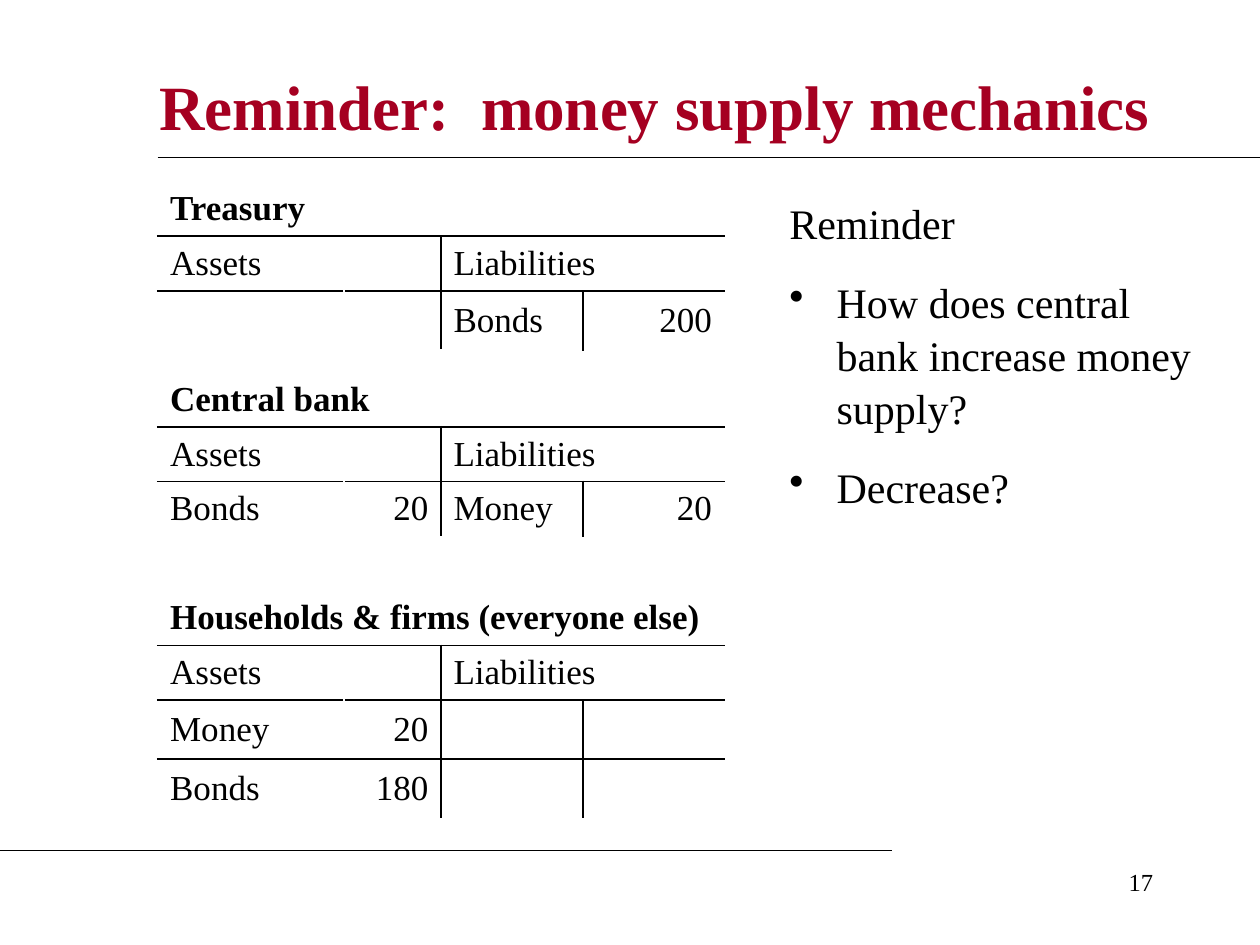
from lxml.etree import SubElement
from pptx import Presentation
from pptx.dml.color import RGBColor
from pptx.enum.shapes import MSO_CONNECTOR
from pptx.enum.text import MSO_ANCHOR, PP_ALIGN
from pptx.oxml.ns import qn
from pptx.util import Pt

FONT = "Times New Roman"
BLACK = "000000"
RED = "A50021"
COLUMN_WIDTHS = [106.5, 55.5, 81, 81]
HEADER_HEIGHT = 31.3
TABLE_LEFT = 90


def set_color(color_format, color):
    color_format.rgb = RGBColor.from_string(color)


def format_paragraph(paragraph, size, color=BLACK, bold=False, align=PP_ALIGN.LEFT):
    paragraph.alignment = align
    for run in paragraph.runs:
        run.font.name = FONT
        run.font.size = Pt(size)
        run.font.bold = bold
        set_color(run.font.color, color)


def add_text_box(slide, left, top, width, height, anchor=MSO_ANCHOR.TOP):
    shape = slide.shapes.add_textbox(Pt(left), Pt(top), Pt(width), Pt(height))
    text_frame = shape.text_frame
    text_frame.word_wrap = True
    text_frame.vertical_anchor = anchor
    return text_frame


def add_rule(slide, left, right, top):
    connector = slide.shapes.add_connector(
        MSO_CONNECTOR.STRAIGHT, Pt(left), Pt(top), Pt(right), Pt(top))
    connector.line.width = Pt(0.75)
    set_color(connector.line.color, BLACK)
    SubElement(connector._element.spPr, qn("a:effectLst"))


def add_border(cell, side):
    properties = cell._tc.get_or_add_tcPr()
    line = SubElement(properties, qn(f"a:ln{side}"), w=str(Pt(1.08)))
    fill = SubElement(line, qn("a:solidFill"))
    SubElement(fill, qn("a:srgbClr"), val=BLACK)


def format_cell(cell, row, column):
    span = cell.span_width if cell.is_merge_origin else 1
    sides = {
        "L": row > 0 and column == 2,
        "R": row > 0 and column + span == 2,
        "T": row in (1, 2),
        "B": row in (0, 1),
    }
    for side, visible in sides.items():
        if visible:
            add_border(cell, side)
    cell.fill.background()
    cell.vertical_anchor = MSO_ANCHOR.MIDDLE


def add_balance_sheet(slide, top, name, entries, entry_height):
    rows = [[name, "", "", ""], ["Assets", "", "Liabilities", ""]] + entries
    heights = [HEADER_HEIGHT] * 2 + [entry_height] * len(entries)
    frame = slide.shapes.add_table(
        len(rows), len(COLUMN_WIDTHS), Pt(TABLE_LEFT), Pt(top),
        Pt(sum(COLUMN_WIDTHS)), Pt(sum(heights)))
    table = frame.table
    table.first_row = False
    table.horz_banding = False
    for column, width in zip(table.columns, COLUMN_WIDTHS):
        column.width = Pt(width)
    for row, height in zip(table.rows, heights):
        row.height = Pt(height)
    table.cell(0, 0).merge(table.cell(0, 3))
    table.cell(1, 0).merge(table.cell(1, 1))
    table.cell(1, 2).merge(table.cell(1, 3))
    for row, texts in enumerate(rows):
        for column, text in enumerate(texts):
            cell = table.cell(row, column)
            format_cell(cell, row, column)
            if text:
                cell.text_frame.text = text
                align = PP_ALIGN.RIGHT if column % 2 else PP_ALIGN.LEFT
                format_paragraph(cell.text_frame.paragraphs[0], 20,
                                 bold=row == 0, align=align)


def add_questions(slide, heading, questions):
    text_frame = add_text_box(slide, 444, 108, 246, 204)
    text_frame.text = "\n".join([heading] + questions)
    for index, paragraph in enumerate(text_frame.paragraphs):
        properties = paragraph._p.get_or_add_pPr()
        properties.set("marL", str(Pt(27)))
        properties.set("indent", str(Pt(-27)))
        if index:
            SubElement(properties, qn("a:buChar"), char="•")
            paragraph.space_before = Pt(15)
        paragraph.line_spacing = 1.05
        format_paragraph(paragraph, 24)


def main():
    presentation = Presentation()
    presentation.slide_width = Pt(720)
    presentation.slide_height = Pt(540)
    slide = presentation.slides.add_slide(presentation.slide_layouts[6])

    title = add_text_box(slide, 84, 30, 582, 60, MSO_ANCHOR.MIDDLE)
    title.text = "Reminder:  money supply mechanics"
    format_paragraph(title.paragraphs[0], 36, RED, bold=True)
    add_rule(slide, 90, 720, 90)
    add_rule(slide, 0, 510, 486)

    add_balance_sheet(slide, 103.7, "Treasury", [["", "", "Bonds", "200"]], 33.8)
    add_balance_sheet(slide, 212.6, "Central bank",
                      [["Bonds", "20", "Money", "20"]], HEADER_HEIGHT)
    add_balance_sheet(slide, 337.5, "Households & firms (everyone else)",
                      [["Money", "20", "", ""], ["Bonds", "180", "", ""]], 33.8)
    add_questions(slide, "Reminder",
                  ["How does central bank increase money supply?", "Decrease?"])

    number = add_text_box(slide, 516, 492, 150, 36)
    number.text = "17"
    format_paragraph(number.paragraphs[0], 14, align=PP_ALIGN.RIGHT)

    presentation.save("out.pptx")


if __name__ == "__main__":
    main()
